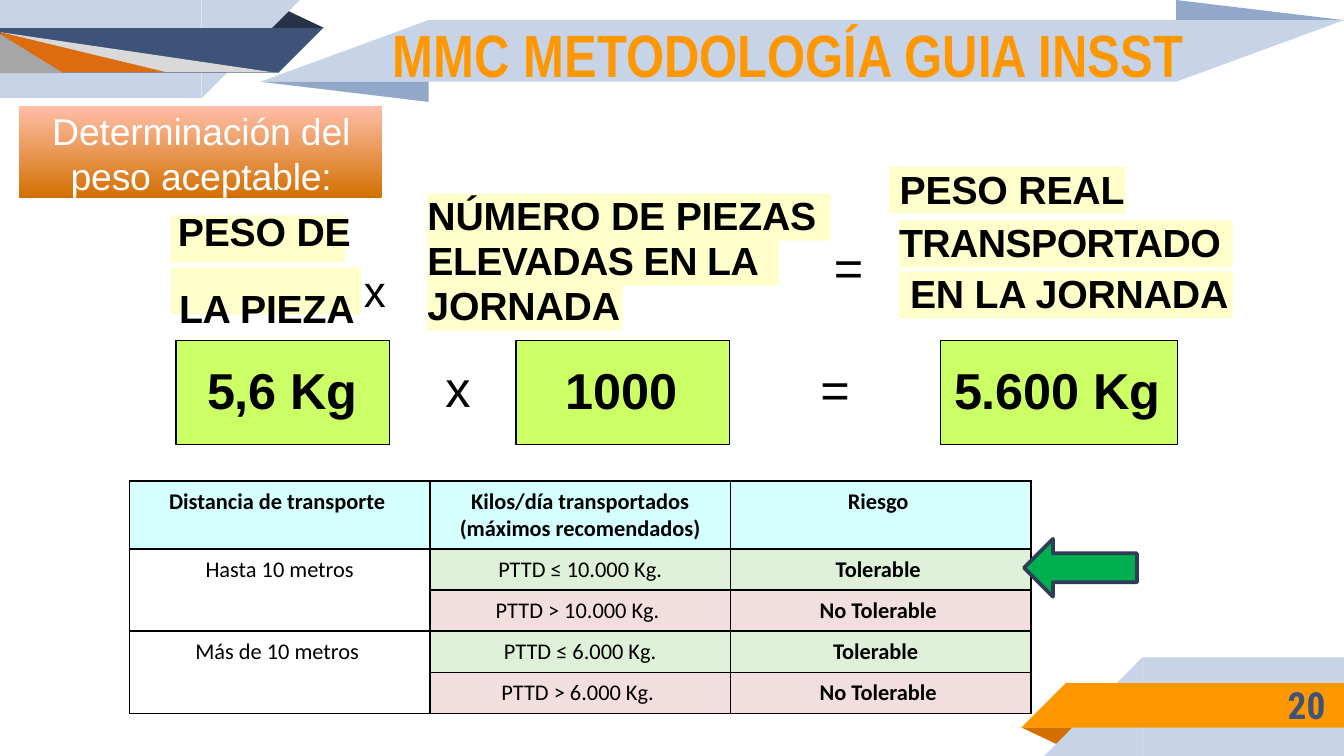
from lxml import etree
from pptx import Presentation
from pptx.dml.color import RGBColor
from pptx.enum.shapes import MSO_SHAPE
from pptx.enum.text import MSO_ANCHOR, MSO_AUTO_SIZE, PP_ALIGN
from pptx.oxml.ns import qn
from pptx.util import Pt

RECT = MSO_SHAPE.RECTANGLE
TRIANGLE = MSO_SHAPE.ISOSCELES_TRIANGLE
CORNER = MSO_SHAPE.RIGHT_TRIANGLE
LEFT_ARROW = MSO_SHAPE.LEFT_ARROW
LEFT, CENTER, RIGHT = PP_ALIGN.LEFT, PP_ALIGN.CENTER, PP_ALIGN.RIGHT
TOP, MIDDLE = MSO_ANCHOR.TOP, MSO_ANCHOR.MIDDLE
FIXED = MSO_AUTO_SIZE.NONE

COLORS = {
    "black": "000000", "white": "FFFFFF", "navy": "263248", "blue": "3F5378",
    "mist": "C7D3E6", "steel": "92A8C8", "orange": "FF9800", "rust": "D26F00",
    "amber": "DD6C10", "peach": "FFBEA8", "silver": "D9D9D9", "gray": "A6A6A6",
    "cream": "FFFFCC", "lime": "CCFF66", "cyan": "D5FFFF", "mint": "DFF0D8",
    "rose": "F2DEDE", "green": "00B050", "ink": "2F3D59",
}


def rgb(name):
    return RGBColor.from_string(COLORS[name])


def add_solid(parent, color):
    solid = etree.SubElement(parent, qn("a:solidFill"))
    return etree.SubElement(solid, qn("a:srgbClr"), val=COLORS[color])


def write(frame, text, size=21, font="Arial", color="black", bold=False, align=LEFT,
          anchor=TOP, insets=(0, 0, 0, 0), indent=0, before=0, line=None,
          tracking=0, raised=0, outline=None, append=False):
    paragraph = frame.paragraphs[0]
    if not append:
        frame.word_wrap = True
        frame.auto_size = FIXED
        frame.vertical_anchor = anchor
        (frame.margin_left, frame.margin_top,
         frame.margin_right, frame.margin_bottom) = map(Pt, insets)
        paragraph.alignment = align
        paragraph.space_before = Pt(before)
        if line:
            paragraph.line_spacing = Pt(line)
        properties = paragraph._p.get_or_add_pPr()
        properties.set("marL", str(Pt(indent)))
        properties.set("indent", "0")
    run = paragraph.add_run()
    run.text = text
    run.font.size, run.font.name, run.font.bold = Pt(size), font, bold
    run.font.color.rgb = rgb(color)
    properties = run._r.get_or_add_rPr()
    if tracking:
        properties.set("spc", str(round(tracking * 100)))
    if raised:
        properties.set("baseline", str(raised * 1000))
    if outline:
        contour = etree.Element(qn("a:ln"), w=str(Pt(1.75)))
        add_solid(contour, outline)
        properties.insert(0, contour)


class SlideBuilder:
    def __init__(self, slide):
        self.slide = slide
        self.shapes = slide.shapes
        self.label_style = dict(bold=True, tracking=-0.1)

    def shape(self, kind, box, fill, line=None, width=0.75, turn=0, flip=False, apex=None):
        shape = self.shapes.add_shape(kind, *map(Pt, box))
        shape.shadow.inherit = False
        shape.fill.solid()
        shape.fill.fore_color.rgb = rgb(fill)
        if line:
            shape.line.color.rgb = rgb(line)
            shape.line.width = Pt(width)
        else:
            shape.line.fill.background()
        if apex is not None:
            shape.adjustments[0] = apex
        shape.rotation = turn
        if flip:
            shape._element.spPr.find(qn("a:xfrm")).set("flipH", "1")
        return shape

    def text(self, box, text, **style):
        frame = self.shapes.add_textbox(*map(Pt, box)).text_frame
        write(frame, text, **style)
        return frame

    def title(self, box, text, **style):
        title = self.shapes.title
        title.left, title.top, title.width, title.height = map(Pt, box)
        self.shapes._spTree.append(title._element)
        write(title.text_frame, text, **style)

    def subtitle(self, box, text):
        panel = self.shape(RECT, box, "rust")
        panel.fill.gradient()
        panel.fill.gradient_angle = 90
        for stop, color in zip(panel.fill.gradient_stops, ("rust", "peach")):
            stop.color.rgb = rgb(color)
        for stop, position in zip(panel.fill.gradient_stops, (0, 1)):
            stop.position = position
        effects = panel._element.spPr.find(qn("a:effectLst"))
        shadow = etree.SubElement(effects, qn("a:outerShdw"), blurRad=str(Pt(3.1)),
                                  dist=str(Pt(1.8)), dir="5400000", rotWithShape="0")
        etree.SubElement(add_solid(shadow, "black"), qn("a:alpha"), val="35000")
        write(panel.text_frame, text, size=20, color="white", align=CENTER,
              insets=(0, 1, 0, 0), before=1, indent=1, tracking=-0.1)

    def highlight(self, box, text, **style):
        band = self.shape(RECT, box, "cream")
        write(band.text_frame, text, line=24.1, **{**self.label_style, **style})

    def label(self, box, text, indent=1):
        return self.text(box, text, insets=(0, 1, 0, 0), indent=indent, before=1,
                         **self.label_style)

    def operator(self, left, top, sign):
        self.text((left, top, 18, 34.5), sign, size=27, insets=(0, 1, 0, 0),
                  indent=1, before=1)

    def value(self, left, width, text, indent):
        panel = self.shape(RECT, (left, 182.3, width, 56), "lime", line="black")
        write(panel.text_frame, text, size=27, insets=(0, 10, 0, 0), indent=indent,
              before=9.9, **self.label_style)

    def cell(self, cell, text, fill, bold):
        if fill:
            cell.fill.solid()
            cell.fill.fore_color.rgb = rgb(fill)
        else:
            cell.fill.background()
        if text:
            write(cell.text_frame, text, size=12, font="Calibri", bold=bold, align=CENTER)
        cell.margin_left = cell.margin_right = Pt(3.6)
        cell.margin_top = cell.margin_bottom = Pt(3.6)
        properties = cell._tc.get_or_add_tcPr()
        for position, side in enumerate(("lnL", "lnR", "lnT", "lnB")):
            border = etree.Element(qn("a:" + side), w=str(Pt(1)))
            add_solid(border, "black")
            properties.insert(position, border)

    def table(self, box, rows, fills, heights):
        table = self.shapes.add_table(len(rows), len(rows[0]), *map(Pt, box)).table
        table.first_row = table.horz_banding = False
        for column in table.columns:
            column.width = Pt(box[2] / len(rows[0]))
        for row, height in zip(table.rows, heights):
            row.height = Pt(height)
        for r, (texts, fill) in enumerate(zip(rows, fills)):
            for c, text in enumerate(texts):
                self.cell(table.cell(r, c), text, fill if r == 0 or c else None,
                          r == 0 or c == 2)
        for r in (1, 3):
            table.cell(r, 0).merge(table.cell(r + 1, 0))


def main():
    deck = Presentation()
    deck.slide_width, deck.slide_height = Pt(720), Pt(405)
    page = SlideBuilder(deck.slides.add_slide(deck.slide_layouts[5]))

    flipped = dict(turn=180, flip=True)
    ribbons = [
        (TRIANGLE, (142.6, 5, 31, 10), "navy", dict(apex=0.32)),
        (RECT, (0, 0, 108, 52.6), "mist", {}),
        (CORNER, (108, 0, 52.6, 52.6), "mist", flipped),
        (RECT, (0, 15.1, 149.4, 23.8), "blue", {}),
        (CORNER, (149.2, 15.1, 23.8, 23.8), "blue", flipped),
        (TRIANGLE, (547.2, 389.7, 31, 10), "rust", dict(apex=0.32, turn=180)),
        (RECT, (612, 352.2, 108, 52.8), "mist", {}),
        (CORNER, (559.4, 352.2, 52.6, 52.8), "mist", dict(flip=True)),
        (RECT, (570.8, 366, 149.2, 23.8), "orange", {}),
        (CORNER, (547.2, 366, 23.8, 23.8), "orange", dict(flip=True)),
        (RECT, (91.5, 115.4, 93.6, 25.4), "cream", {}),
        (RECT, (91.5, 143.2, 101.8, 25.2), "cream", {}),
        (RECT, (476, 89.2, 127.2, 25.2), "cream", {}),
        (TRIANGLE, (630, 0, 90, 10.8), "steel", dict(apex=0)),
        (RECT, (229, 10.8, 401.4, 33), "mist", {}),
        (CORNER, (630, 10.8, 90, 33), "mist", flipped),
        (CORNER, (139.6, 10.8, 90, 33), "mist", dict(flip=True)),
        (TRIANGLE, (139.6, 43.8, 90, 10.8), "steel", dict(apex=0, turn=180)),
        (TRIANGLE, (0.5, 17.3, 145.4, 21.4), "silver", dict(apex=0)),
        (CORNER, (0.5, 17.3, 88.6, 21.4), "amber", {}),
        (TRIANGLE, (-0.7, 17.8, 34.6, 21.4), "gray", dict(apex=0)),
    ]
    for kind, box, fill, options in ribbons:
        page.shape(kind, box, fill, **options)

    page.text((599.8, 365, 117.4, 25.2), "20", size=20, font="Roboto Condensed",
              color="blue", bold=True, align=RIGHT, anchor=MIDDLE, insets=(7.2,) * 4)
    page.title((132.5, 7.9, 578.9, 40.3), "MMC METODOLOGÍA GUIA INSST", size=32,
               font="Arial Narrow", color="orange", bold=True, align=CENTER,
               anchor=MIDDLE, insets=(0, 1, 0, 0), indent=1, before=0.8, outline="navy")
    page.subtitle((10.1, 56.9, 194.4, 49.4), "Determinación del peso aceptable:")

    page.highlight((229, 103.7, 216, 25.2), "NÚMERO DE PIEZAS")
    page.highlight((229, 127.9, 188.6, 25.2), "ELEVADAS EN LA", tracking=-0.3)
    page.highlight((229, 152, 104.4, 25.2), "JORNADA")
    page.label((94.3, 110.2, 94.3, 27.4), "PESO DE")
    piece_weight = page.label((92.9, 131.8, 121, 34.6), "LA PIEZA ", indent=3)
    write(piece_weight, "x", size=40.5, raised=21, append=True)
    page.label((481, 87.8, 122.4, 27.4), "PESO REAL")
    page.highlight((481.7, 118.1, 178.6, 25.2), "TRANSPORTADO", tracking=-0.3)
    page.highlight((481.7, 145.4, 178.6, 25.2), "EN LA JORNADA", indent=5.8)

    page.operator(445.7, 125.3, "=")
    page.operator(237.6, 190.1, "x")
    page.operator(438.5, 190.8, "=")
    page.value(94.3, 114.5, "5,6 Kg", 16.6)
    page.value(276.5, 114.5, "1000", 26.6)
    page.value(504, 126.7, "5.600 Kg", 7.2)

    rows = [
        ("Distancia de transporte ", "Kilos/día transportados (máximos recomendados)", "Riesgo "),
        ("Hasta 10 metros", "PTTD ≤ 10.000 Kg.", "Tolerable "),
        ("", "PTTD > 10.000 Kg. ", "No Tolerable "),
        ("Más de 10 metros ", "PTTD ≤ 6.000 Kg.", "Tolerable  "),
        ("", "PTTD > 6.000 Kg. ", "No Tolerable "),
    ]
    page.table((69.4, 257.7, 483, 124), rows, ("cyan", "mint", "rose", "mint", "rose"),
               (36, 22, 22, 22, 22))
    page.shape(LEFT_ARROW, (548.6, 288.7, 60.5, 31), "green", line="ink", width=2)

    deck.save("out.pptx")


if __name__ == "__main__":
    main()
